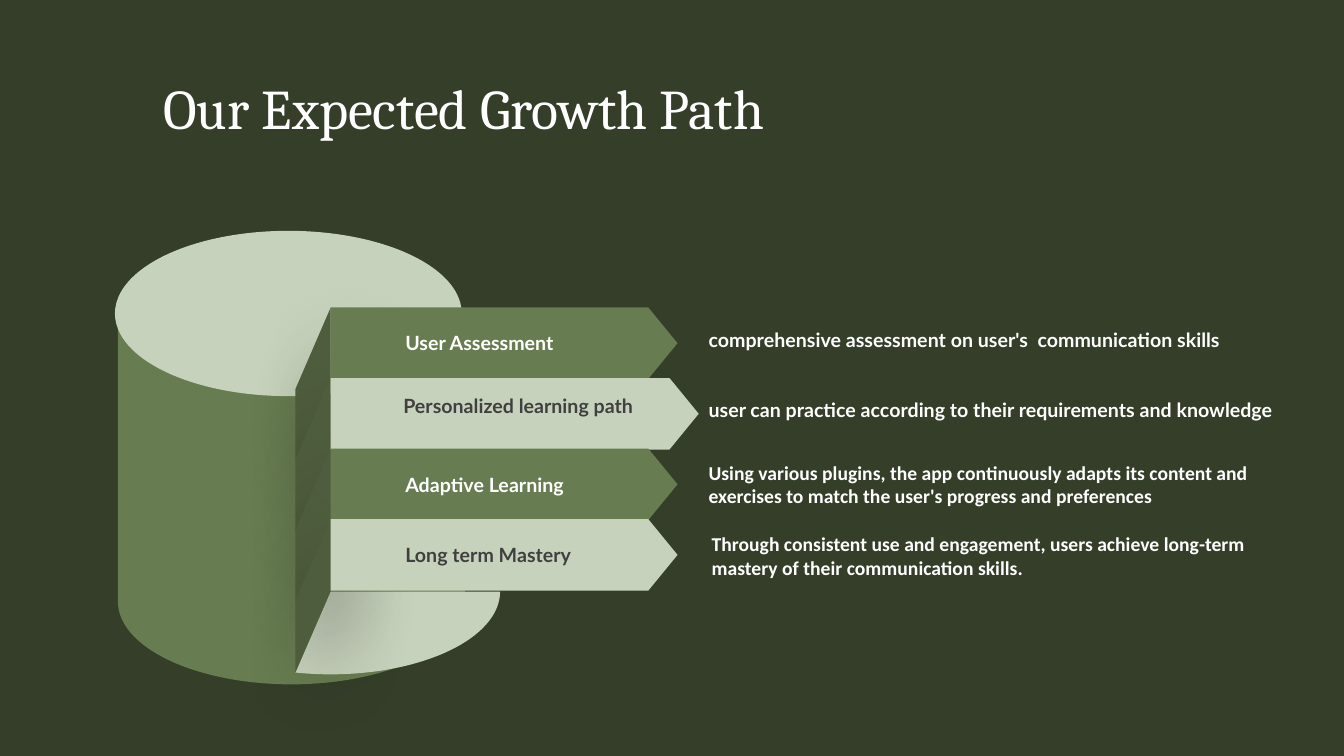
from math import cos, radians, sin

from lxml.etree import SubElement
from pptx import Presentation
from pptx.dml.color import RGBColor
from pptx.enum.shapes import MSO_SHAPE
from pptx.enum.text import MSO_ANCHOR, MSO_AUTO_SIZE, PP_ALIGN
from pptx.oxml.ns import qn
from pptx.util import Inches, Pt

DARK, GREEN, PALE, FOLD = "343E29", "687C51", "C7D2BC", "4E5D3D"
WHITE, GREY = "FFFFFF", "404040"
ROW_H = 0.7
FOLD_W, FOLD_DROP = 0.35, 0.81
ROWS_X, ROWS_Y = 3.28, 3.05

# label, label colour, fill, label x, label offset, arrow width,
# description, font, box x, box offset, box width, box height
STEPS = [
    ("User Assessment", WHITE, GREEN, 4.02, 0.23, 3.44,
     "comprehensive assessment on user's  communication skills",
     "Lato", 6.93, 0.15, 6.4, 0.34),
    ("Personalized learning path", GREY, PALE, 4.0, 0.16, 3.65,
     "user can practice according to their requirements and knowledge",
     "Lato", 6.93, 0.15, 6.4, 0.34),
    ("Adaptive Learning", WHITE, GREEN, 4.02, 0.24, 3.44,
     "Using various plugins, the app continuously adapts its content and "
     "exercises to match the user's progress and preferences",
     "Calibri", 6.93, 0.07, 5.81, 0.57),
    ("Long term Mastery", GREY, PALE, 4.02, 0.24, 3.44,
     "Through consistent use and engagement, users achieve long-term "
     "mastery of their communication skills.",
     "Calibri", 6.96, 0.08, 6.14, 0.57),
]


def rgb(value):
    return RGBColor.from_string(value)


def paint(sp, color):
    sp.shadow.inherit = False
    sp.fill.solid()
    sp.fill.fore_color.rgb = rgb(color)
    sp.line.fill.background()


def polygon(s, points, color):
    start, *rest = [(Inches(x), Inches(y)) for x, y in points]
    builder = s.shapes.build_freeform(*start)
    builder.add_line_segments(rest, close=True)
    sp = builder.convert_to_shape()
    paint(sp, color)
    return sp


def arc(cx, cy, rx, ry, end):
    steps = 60
    angles = [radians(end * i / steps) for i in range(steps + 1)]
    return [(cx + rx * cos(a), cy + ry * sin(a)) for a in angles]


def cast_shadow(sp):
    effects = sp._element.spPr.find(qn("a:effectLst"))
    shadow = SubElement(effects, qn("a:outerShdw"), blurRad=str(Pt(52)),
                        dist=str(Pt(20)), dir=str(45 * 60000),
                        algn="tl", rotWithShape="0")
    color = SubElement(shadow, qn("a:srgbClr"), val="000000")
    SubElement(color, qn("a:alpha"), val="40000")


def add_text(s, text, x, y, w, h, font, color, margins=True):
    tf = s.shapes.add_textbox(Inches(x), Inches(y), Inches(w), Inches(h)).text_frame
    tf.word_wrap = True
    if not margins:
        tf.margin_left = tf.margin_right = tf.margin_top = tf.margin_bottom = 0
    p = tf.paragraphs[0]
    p.text = text
    p.font.name, p.font.size, p.font.bold = font, Pt(14), True
    p.font.color.rgb = rgb(color)


def add_title(s, x, y, w, h):
    title = s.shapes.title
    title.left, title.top, title.width, title.height = map(Inches, (x, y, w, h))
    tf = title.text_frame
    tf.margin_left = tf.margin_right = tf.margin_top = tf.margin_bottom = 0
    tf.vertical_anchor = MSO_ANCHOR.MIDDLE
    tf.auto_size = MSO_AUTO_SIZE.NONE
    p = tf.paragraphs[0]
    p.text = "Our Expected Growth Path"
    p.alignment = PP_ALIGN.LEFT
    p.line_spacing = Pt(44)
    p.font.name, p.font.size = "Cambria", Pt(40)
    p.font.color.rgb = rgb(WHITE)


def add_cylinder(s, x, y, w, h):
    rx, ry = w / 2, 0.82
    polygon(s, [(x, y), (x + w, y)] + arc(x + rx, y + h - ry, rx, ry, 180), GREEN)
    lid = s.shapes.add_shape(MSO_SHAPE.OVAL, Inches(x - 0.03), Inches(y - 0.77),
                             Inches(w), Inches(2 * ry))
    paint(lid, PALE)
    floor_y = ROWS_Y + len(STEPS) * ROW_H + 0.02
    polygon(s, [(ROWS_X, floor_y)] + arc(ROWS_X, floor_y, 1.68, ry, 102), PALE)


def add_folds(s, x, y):
    for i in range(len(STEPS)):
        top = y + i * ROW_H
        bottom = top + ROW_H + 0.01
        cast_shadow(polygon(s, [(x, top), (x - FOLD_W, top + FOLD_DROP),
                                (x - FOLD_W, bottom + FOLD_DROP), (x, bottom)], FOLD))


def add_steps(s, x, y):
    for i, (label, ink, fill, label_x, label_dy, w,
            text, font, text_x, text_dy, text_w, text_h) in enumerate(STEPS):
        top = y + i * ROW_H
        bottom = top + ROW_H + 0.01
        neck = x + w - 0.29
        polygon(s, [(x, top), (neck, top), (x + w, (top + bottom) / 2),
                    (neck, bottom), (x, bottom)], fill)
        add_text(s, label, label_x, top + label_dy, 2.37, 0.24, "Lato", ink, False)
        add_text(s, text, text_x, top + text_dy, text_w, text_h, font, WHITE)


def main():
    prs = Presentation()
    prs.slide_width, prs.slide_height = Inches(13.33), Inches(7.5)
    s = prs.slides.add_slide(prs.slide_layouts[5])
    s.background.fill.solid()
    s.background.fill.fore_color.rgb = rgb(DARK)
    add_title(s, 1.62, 0.78, 10.1, 0.62)
    add_cylinder(s, 1.17, 3.06, 3.44, 3.73)
    add_folds(s, ROWS_X, ROWS_Y)
    add_steps(s, ROWS_X, ROWS_Y)
    prs.save("out.pptx")


if __name__ == "__main__":
    main()
